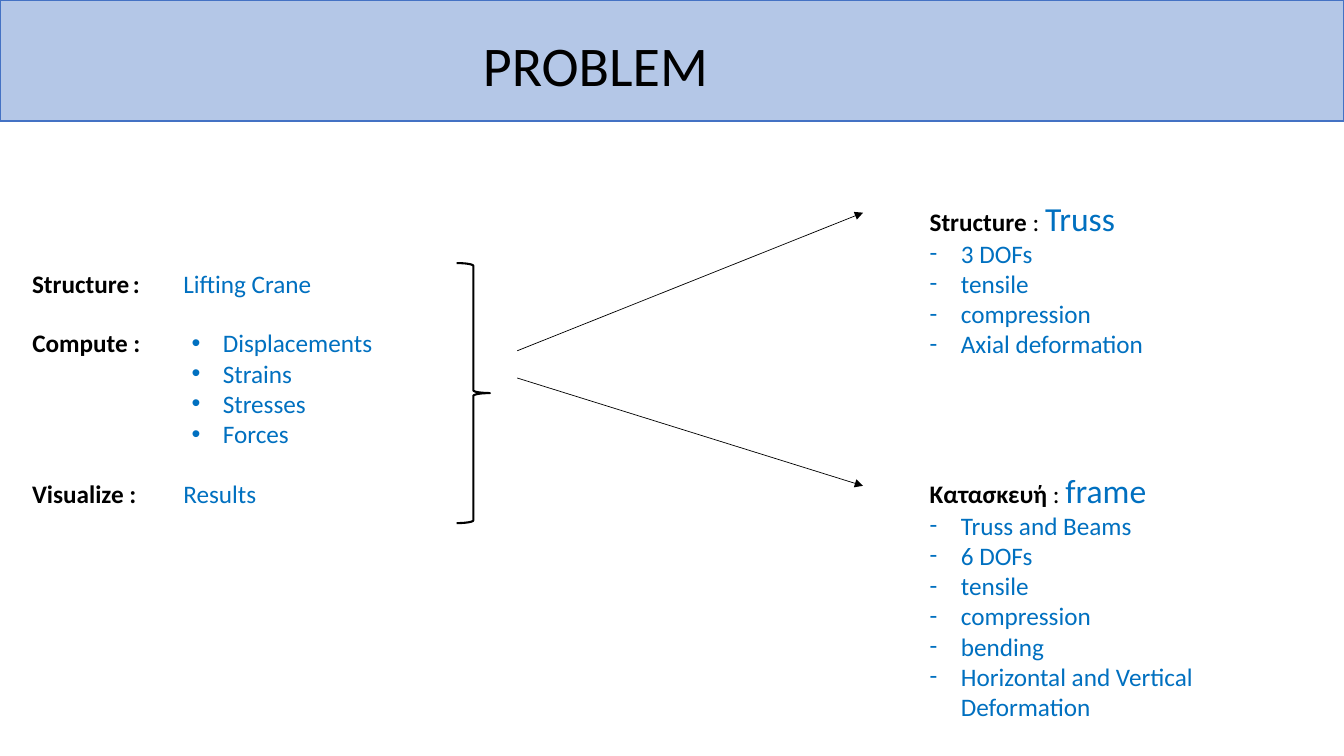
import pptx
import pptx.util
import pptx.dml.color
import pptx.enum.shapes
import pptx.enum.text
import lxml.etree

Inches = pptx.util.Inches
Pt = pptx.util.Pt
RGBColor = pptx.dml.color.RGBColor
BLACK = RGBColor(0x00, 0x00, 0x00)
BLUE = RGBColor(0x00, 0x70, 0xC0)
PALE = RGBColor(0xB4, 0xC7, 0xE7)
EDGE = RGBColor(0x44, 0x72, 0xC4)
FACE = "Calibri"
HANG = Inches(0.31)


def add_tag(parent, name, **attrs):
    """Append a DrawingML element to a parent."""
    tag = pptx.oxml.ns.qn("a:" + name)
    return lxml.etree.SubElement(parent, tag, attrs)


def set_font(font, size, color, bold=False):
    """Give a font the face, size, colour and weight."""
    font.name = FACE
    font.size = Pt(size)
    font.color.rgb = color
    font.bold = bold


def set_box(shape, box):
    """Place a text shape and return its wrapped, top-aligned frame."""
    shape.left, shape.top, shape.width, shape.height = map(Inches, box)
    frame = shape.text_frame
    frame.word_wrap = True
    frame.auto_size = pptx.enum.text.MSO_AUTO_SIZE.NONE
    frame.vertical_anchor = pptx.enum.text.MSO_ANCHOR.TOP
    return frame


def set_para(para, mark=None, tabs=()):
    """Set the bullet, tab stops and spacing of a paragraph."""
    props = para._p.get_or_add_pPr()
    props.set("marL", str(HANG if mark else 0))
    props.set("indent", str(-HANG if mark else 0))
    if mark:
        tint = add_tag(props, "buClr")
        add_tag(tint, "srgbClr", val=str(BLUE))
        add_tag(props, "buFont", typeface="Arial" if mark == "•" else FACE)
        add_tag(props, "buChar", char=mark)
    else:
        add_tag(props, "buNone")
    if tabs:
        stops = add_tag(props, "tabLst")
        for stop in tabs:
            add_tag(stops, "tab", pos=str(Inches(stop)), algn="l")
    para.alignment = pptx.enum.text.PP_ALIGN.LEFT
    para.space_before = Pt(0)
    para.line_spacing = 1.0


def add_runs(para, runs):
    """Add runs given as text, size, colour and weight."""
    for text, size, color, bold in runs:
        run = para.add_run()
        run.text = text
        set_font(run.font, size, color, bold)


def add_items(frame, items, mark, first):
    """Fill a frame with bulleted items, starting at the given paragraph."""
    for num, item in enumerate(items, first):
        para = frame.add_paragraph() if num else frame.paragraphs[0]
        para.text = item
        set_para(para, mark)
        set_font(para.font, 18, BLUE)


def add_head(slide, box):
    """Draw the title band with the title over it."""
    left, top, width, height = box
    band = slide.shapes.add_shape(
        pptx.enum.shapes.MSO_SHAPE.RECTANGLE, *map(Inches, box))
    band.shadow.inherit = False
    band.fill.solid()
    band.fill.fore_color.rgb = PALE
    band.line.color.rgb = EDGE
    band.line.width = Pt(1)
    title = slide.shapes.title
    title.element.addprevious(band.element)
    frame = set_box(title, (left + 4.69, top + 0.25, 4.69, 0.77))
    para = frame.paragraphs[0]
    para.text = "PROBLEM"
    set_para(para)
    set_font(para.font, 40, BLACK)


def add_label(shape, box, label, value="", tabs=()):
    """Write a bold label with an optional blue value after it."""
    para = set_box(shape, box).paragraphs[0]
    set_para(para, tabs=tabs)
    runs = [(label, 18, BLACK, True)]
    if value:
        runs.append((value, 18, BLUE, False))
    add_runs(para, runs)


def add_task(slide, box):
    """Write the task on the left and close it with a brace."""
    left, top, width, height = box
    holders = slide.placeholders
    spot = [0, 0, 1, 1]
    add_label(slide.shapes.add_textbox(*spot), (left, top, 4.2, 0.4),
              "Structure\t:\t", "Lifting Crane", (1.19, 1.65))
    add_label(holders[1], (left, top + 0.59, 1.76, 0.4), "Compute :")
    add_label(slide.shapes.add_textbox(*spot), (left, top + 2.09, 4.07, 0.4),
              "Visualize :\t", "Results", (1.21,))
    goals = set_box(holders[3], (left + 1.58, top + 0.59, 2.5, 1.31))
    add_items(goals, ["Displacements", "Strains", "Stresses", "Forces"], "•", 0)
    brace = slide.shapes.add_shape(
        pptx.enum.shapes.MSO_SHAPE.RIGHT_BRACE, Inches(left + width - 0.33),
        Inches(top), Inches(0.33), Inches(height))
    brace.shadow.inherit = False
    brace.fill.background()
    brace.line.color.rgb = BLACK
    brace.line.width = Pt(1.5)


def add_arrow(slide, start, end):
    """Draw a thin arrow between two points."""
    line = slide.shapes.add_connector(
        pptx.enum.shapes.MSO_CONNECTOR.STRAIGHT, *map(Inches, start + end))
    line.line.color.rgb = BLACK
    line.line.width = Pt(0.5)
    add_tag(line.line._get_or_add_ln(), "tailEnd", type="triangle")
    add_tag(line.element.spPr, "effectLst")


def add_model(shape, box, label, name, items):
    """Write a model's heading and its dashed list."""
    frame = set_box(shape, box)
    para = frame.paragraphs[0]
    set_para(para)
    add_runs(para, [(label + " ", 18, BLACK, True), (": ", 18, BLACK, False),
                    (name, 24, BLUE, False)])
    add_items(frame, items, "-", 1)


def main():
    """Build the slide and save it."""
    deck = pptx.Presentation()
    deck.slide_width = Inches(13.33)
    deck.slide_height = Inches(7.5)
    slide = deck.slides.add_slide(deck.slide_layouts.get_by_name("Comparison"))
    add_head(slide, (0, 0, 13.33, 1.2))
    add_task(slide, (0.22, 2.61, 4.64, 2.58))
    add_arrow(slide, (5.13, 3.48), (8.56, 2.11))
    add_arrow(slide, (5.13, 3.75), (8.56, 4.82))
    add_model(slide.placeholders[2], (9.12, 1.91, 3.17, 2.02),
              "Structure", "Truss",
              ["3 DOFs", "tensile", "compression", "Axial deformation"])
    add_model(slide.placeholders[4], (9.12, 4.61, 3.34, 2.63),
              "Κατασκευή", "frame",
              ["Truss and Beams", "6 DOFs", "tensile", "compression",
               "bending", "Horizontal and Vertical Deformation"])
    deck.save("out.pptx")


if __name__ == "__main__":
    main()
